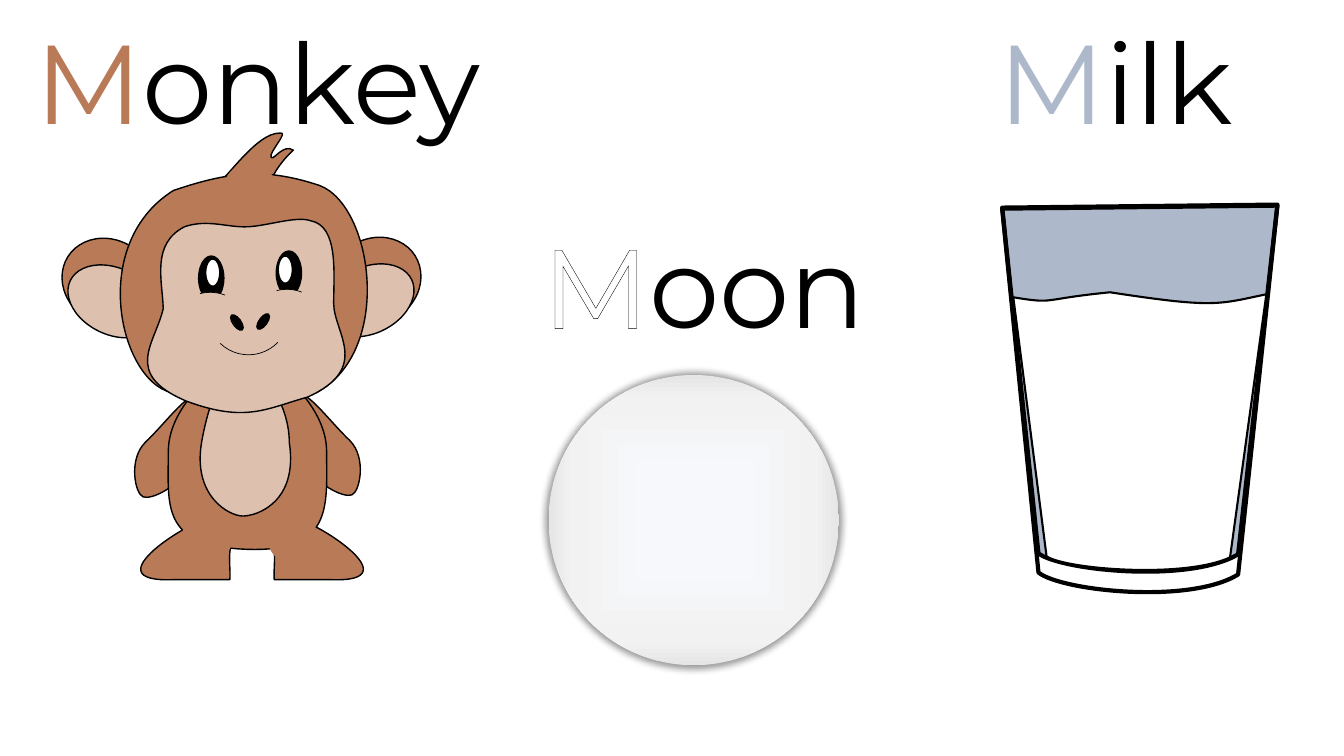
from math import cos, radians, sin

from lxml import etree
from pptx import Presentation
from pptx.dml.color import RGBColor
from pptx.enum.shapes import MSO_SHAPE as SHAPE
from pptx.enum.text import MSO_AUTO_SIZE as AUTOSIZE
from pptx.oxml import parse_xml
from pptx.oxml.ns import nsdecls, qn
from pptx.util import Pt

PX = 9144
SLIDE_SIZE = (1333, 750)
FONT, WORD_SIZE = "Montserrat", 80
BLACK, WHITE = "000000", "FFFFFF"
BROWN, TAN, MILK_BLUE = "B97A57", "DDC0AE", "ADB9CA"

WORDS = {
    "moon": ("M", "oon", WHITE, (528, 210, 367, 145)),
    "monkey": ("M", "onkey", BROWN, (25, 7, 497, 145)),
    "milk": ("M", "ilk", MILK_BLUE, (980, 7, 302, 145)),
}

MOON_BOX = (544, 372, 288, 288)
MOON_STOPS = [(31, "F6F8FC"), (83, "F2F2F2"), (100, "E7E6E6")]

ARM = [(347, 437), (329, 420, 306, 389, 298, 392), (290, 395, 285, 427, 299, 454),
       (313, 482, 341, 494, 349, 491), (357, 488, 364, 454, 347, 437)]
FOOT = [(292, 515), (265, 524), (276, 547, 271, 558, 272, 575), (327, 575),
        (414, 579, 305, 512, 292, 515)]
BODY = [(167, 448), (167, 395, 233, 352, 245, 351), (257, 350, 324, 395, 324, 448),
        (324, 502, 331, 548, 245, 545), (159, 542, 167, 502, 167, 448)]
BELLY = [(200, 439), (209, 387, 227, 359, 241, 359), (255, 359, 287, 397, 287, 439),
         (296, 498, 255, 512, 241, 512), (227, 512, 191, 492, 200, 439)]
HAIR = [(215, 182), (222, 182, 254, 131, 278, 132), (287, 130, 266, 152, 269, 156),
        (271, 160, 281, 142, 291, 149), (285, 154, 270, 171, 268, 183),
        (280, 222), (215, 222), (215, 182)]
HEAD = [(172, 189), (230, 169, 266, 167, 317, 184), (370, 204, 391, 349, 313, 390),
        (269, 402, 247, 415, 181, 390), (124, 397, 81, 246, 172, 189)]
FACE = [(183, 225), (206, 217, 226, 226, 246, 225), (266, 224, 294, 214, 308, 219),
        (336, 224, 331, 271, 331, 301), (331, 330, 369, 365, 305, 394),
        (265, 405, 244, 420, 185, 398), (121, 371, 154, 341, 162, 306),
        (161, 278, 150, 242, 183, 225)]
HAIR_BLEND = [(222, 182), (227, 167, 238, 161, 256, 165), (275, 169, 276, 186, 270, 201),
              (264, 216, 249, 223, 235, 218), (222, 213, 216, 197, 222, 182)]
ANKLE_BLEND = [(182, 524), (188, 509, 198, 503, 216, 507), (234, 510, 234, 528, 229, 542),
               (223, 557, 208, 565, 195, 560), (182, 555, 176, 539, 182, 524)]

# outline, fill, line weight, rotation, mirror (sum of both x, shift of y)
BODY_PARTS = [
    (ARM, BROWN, 1, 332.8, (491, 2)),
    (FOOT, BROWN, 1, 0, (500, 0)),
    (BODY, BROWN, 1, 0, None),
    (BELLY, TAN, 1, 0, None),
    (HAIR, BROWN, 1, 0, None),
]
EARS = [
    ((60, 238, 95, 84), BROWN, 1, 32.2, (479, -1)),
    ((65, 266, 95, 66), TAN, 1, 25.7, (478, -1)),
]
HEAD_PARTS = [(HEAD, BROWN, 1, 0, None), (FACE, TAN, 1, 0, None)]
EYES_AND_NOSE = [
    ((274, 249, 25, 44), BLACK, 1, 0, None),
    ((197, 254, 25, 44), BLACK, 1, 0, None),
    ((204, 257, 14, 27), WHITE, 1, 0, None),
    ((276, 254, 14, 27), WHITE, 1, 0, None),
    ((231, 311, 8, 18), BLACK, 1, 324.1, None),
    ((257, 310, 8, 18), BLACK, 1, 35.9, None),
]
BLENDS = [
    (HAIR_BLEND, BROWN, 0, 21.3, None),
    (ANKLE_BLEND, BROWN, 0, 21.3, (495, -1)),
]
# box, fill, rotation, start and end adjustment
LID_ENDS = (189.76, 211.3)
ARCS = [
    ((244, 287, 81, 81), TAN, 299.3, LID_ENDS),
    ((206, 271, 81, 81), None, 43.9, (0, 54)),
    ((168, 290, 81, 81), TAN, 299.3, LID_ENDS),
]

GLASS_PARTS = [
    ([(994, 206), (1267, 203), (1228, 550), (1179, 579, 1052, 566, 1030, 549),
      (994, 206)], MILK_BLUE, 3, 0, None),
    ([(994, 207), (1267, 204), (1228, 570), (1179, 600, 1052, 586, 1030, 568),
      (994, 207)], None, 3, 0, None),
    ([(1005, 295), (1048, 302, 1030, 297, 1101, 290), (1205, 306, 1208, 302, 1256, 292),
      (1220, 553), (1175, 574, 1058, 565, 1038, 552), (1005, 295)], WHITE, 1.5, 0, None),
]


def rgb(code):
    return RGBColor.from_string(code)


def emu(lengths):
    return [round(length * PX) for length in lengths]


def paint(shape, fill, weight, rotation=0):
    shape.shadow.inherit = False
    shape.rotation = rotation % 360
    if fill:
        shape.fill.solid()
        shape.fill.fore_color.rgb = rgb(fill)
    else:
        shape.fill.background()
    if weight:
        shape.line.color.rgb = rgb(BLACK)
        shape.line.width = Pt(weight)
    else:
        shape.line.fill.background()


def turned(point, angle):
    x, y = point
    c, s = cos(radians(angle)), sin(radians(angle))
    return x * c - y * s, x * s + y * c


def edges(steps, axis):
    reached = []
    last = steps[0][0]
    for step in steps:
        reached.append(step[-1][axis])
        if len(step) == 3:
            a, b, c, d = [point[axis] for point in (last, *step)]
            for t in [i / 40 for i in range(1, 40)]:
                u = 1 - t
                reached.append(a * u**3 + 3 * b * u * u * t + 3 * c * u * t * t + d * t**3)
        last = step[-1]
    return min(reached), max(reached)


def draw_outline(group, steps, rotation):
    level = [[turned(point, -rotation) for point in step] for step in steps]
    (left, right), (top, bottom) = edges(level, 0), edges(level, 1)
    width, height = right - left, bottom - top
    center_x, center_y = turned(((left + right) / 2, (top + bottom) / 2), rotation)

    ends = [emu(step[-1]) for step in level]
    builder = group.shapes.build_freeform(*ends[0], scale=1.0)
    builder.add_line_segments(ends[1:], close=True)
    shape = builder.convert_to_shape()
    shape.left, shape.top, shape.width, shape.height = emu(
        (center_x - width / 2, center_y - height / 2, width, height))

    route = next(shape._element.iter(qn("a:path")))
    route.set("w", str(shape.width))
    route.set("h", str(shape.height))
    for command, step in zip(list(route), level):
        if len(step) == 3:
            curve = etree.Element(qn("a:cubicBezTo"))
            route.replace(command, curve)
            command = curve
        for point in list(command):
            command.remove(point)
        for x, y in step:
            across, down = emu((x - left, y - top))
            etree.SubElement(command, qn("a:pt"), x=str(across), y=str(down))
    group._element.recalculate_extents()
    return shape


def draw_outlines(group, parts):
    for outline, fill, weight, rotation, mirror in parts:
        steps = [list(zip(step[::2], step[1::2])) for step in outline]
        sides = [(steps, rotation)]
        if mirror:
            total, shift = mirror
            sides.append(([[(total - x, y + shift) for x, y in step] for step in steps],
                          -rotation))
        for side, turn in sides:
            paint(draw_outline(group, side, turn), fill, weight, turn)


def draw_ovals(group, parts):
    for box, fill, weight, rotation, mirror in parts:
        sides = [(box, rotation)]
        if mirror:
            left, top, width, height = box
            sides.append(((mirror[0] - left - width, top + mirror[1], width, height), -rotation))
        for side, turn in sides:
            paint(group.shapes.add_shape(SHAPE.OVAL, *emu(side)), fill, weight, turn)


def draw_arcs(group):
    for box, fill, rotation, ends in ARCS:
        arc = group.shapes.add_shape(SHAPE.ARC, *emu(box))
        arc.adjustments[0], arc.adjustments[1] = ends
        paint(arc, fill, 0.5, rotation)


def draw_moon(group):
    moon = group.shapes.add_shape(SHAPE.OVAL, *emu(MOON_BOX))
    paint(moon, WHITE, 0)
    stops = "".join(f'<a:gs pos="{pos * 1000}"><a:srgbClr val="{code}"/></a:gs>'
                    for pos, code in MOON_STOPS)
    properties = moon.fill._xPr
    properties.replace(properties.find(qn("a:solidFill")), parse_xml(
        f'<a:gradFill {nsdecls("a")}><a:gsLst>{stops}</a:gsLst><a:path path="shape">'
        '<a:fillToRect l="50000" t="50000" r="50000" b="50000"/></a:path></a:gradFill>'))
    properties.find(qn("a:effectLst")).append(parse_xml(
        f'<a:outerShdw {nsdecls("a")} blurRad="63500" sx="102000" sy="102000" algn="ctr" '
        f'rotWithShape="0"><a:srgbClr val="{BLACK}"><a:alpha val="40000"/></a:srgbClr>'
        '</a:outerShdw>'))


def write_word(group, initial, ending, color, box):
    frame = group.shapes.add_textbox(*emu(box)).text_frame
    frame.word_wrap = True
    frame.auto_size = AUTOSIZE.SHAPE_TO_FIT_TEXT
    for letters, code in ((initial, color), (ending, BLACK)):
        run = frame.paragraphs[0].add_run()
        run.text = letters
        run.font.name = FONT
        run.font.size = Pt(WORD_SIZE)
        run.font.color.rgb = rgb(code)
        if letters == initial:
            contour = etree.Element(qn("a:ln"), w=str(Pt(0.75)))
            solid = etree.SubElement(contour, qn("a:solidFill"))
            etree.SubElement(solid, qn("a:srgbClr"), val=BLACK)
            run.font._rPr.insert(0, contour)


def main():
    deck = Presentation()
    deck.slide_width, deck.slide_height = emu(SLIDE_SIZE)
    slide = deck.slides.add_slide(deck.slide_layouts[6])
    moon, monkey, milk = [slide.shapes.add_group_shape() for _ in WORDS]

    write_word(moon, *WORDS["moon"])
    draw_moon(moon)

    draw_outlines(monkey, BODY_PARTS)
    draw_ovals(monkey, EARS)
    draw_outlines(monkey, HEAD_PARTS)
    draw_ovals(monkey, EYES_AND_NOSE)
    draw_outlines(monkey, BLENDS)
    draw_arcs(monkey)
    write_word(monkey, *WORDS["monkey"])

    write_word(milk, *WORDS["milk"])
    draw_outlines(milk, GLASS_PARTS)

    deck.save("out.pptx")


if __name__ == "__main__":
    main()
